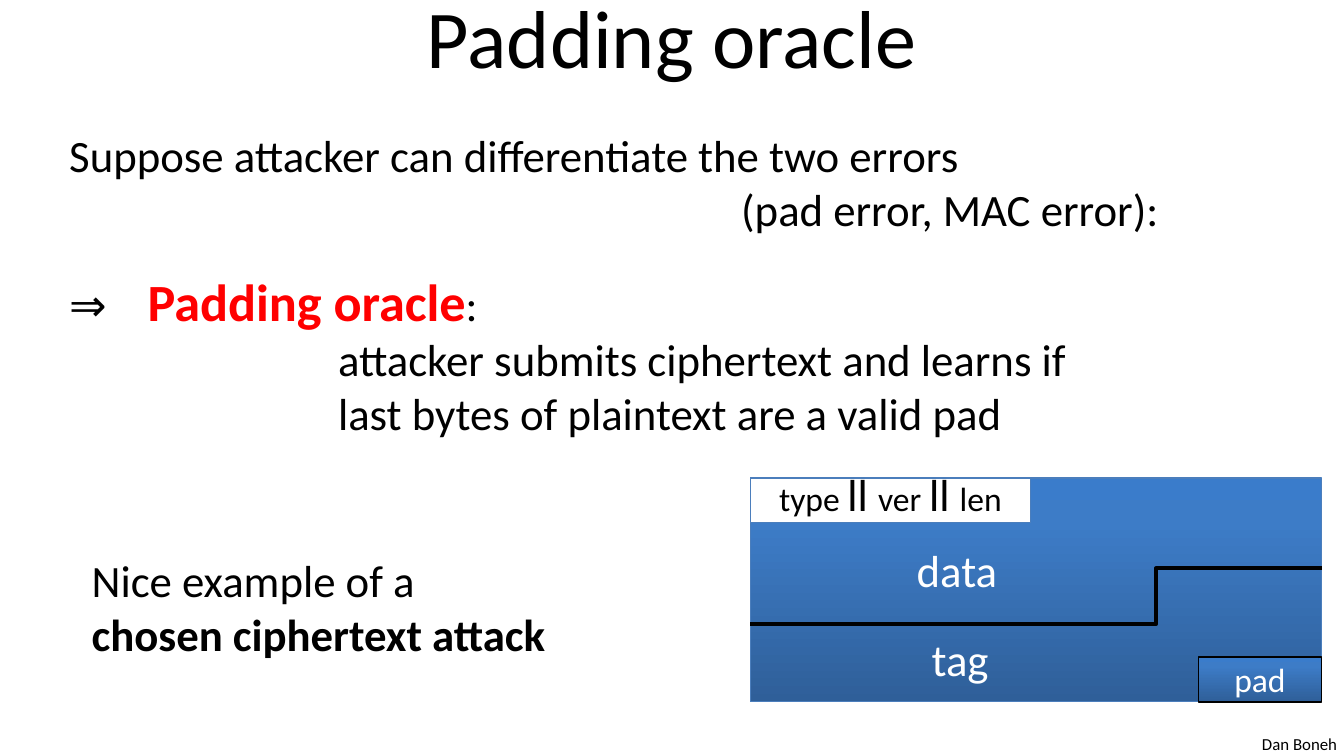
from copy import deepcopy

from lxml import etree
from pptx import Presentation
from pptx.dml.color import RGBColor
from pptx.enum.shapes import MSO_CONNECTOR, MSO_SHAPE
from pptx.enum.text import MSO_ANCHOR, MSO_AUTO_SIZE, PP_ALIGN
from pptx.oxml.ns import qn
from pptx.util import Pt

RECTANGLE = MSO_SHAPE.RECTANGLE
ELBOW = MSO_CONNECTOR.ELBOW
LEFT, CENTER = PP_ALIGN.LEFT, PP_ALIGN.CENTER
MIDDLE = MSO_ANCHOR.MIDDLE
FIT_TEXT = MSO_AUTO_SIZE.SHAPE_TO_FIT_TEXT

FONT = "Calibri"
BLACK, WHITE, RED, BLUE = "000000", "FFFFFF", "FF0000", "4B7EBC"
GRADIENT = [(0, "2F5F99"), (0.8, "3D7CC7"), (1, "3A7CCB")]
RECORD_LEFT, RECORD_TOP, RECORD_WIDTH, RECORD_HEIGHT = 402, 256, 306, 120


def rgb(value):
    """Return the colour for a hex string."""
    return RGBColor.from_string(value)


def add_run(paragraph, text, size=24, color=BLACK, bold=False):
    """Append one formatted run to a paragraph."""
    run = paragraph.add_run()
    run.text = text
    run.font.name = FONT
    run.font.size = Pt(size)
    run.font.bold = bold
    run.font.color.rgb = rgb(color)


def indent(paragraph, left, first=0):
    """Set the left margin and first-line indent of a paragraph."""
    properties = paragraph._p.get_or_add_pPr()
    properties.set("marL", str(Pt(left)))
    properties.set("indent", str(Pt(first)))


def add_text(slide, left, top, width, height, lines, wrap=True):
    """Add a text box with one list of runs per line and return its paragraphs."""
    frame = slide.shapes.add_textbox(Pt(left), Pt(top), Pt(width), Pt(height)).text_frame
    frame.word_wrap = wrap
    frame.auto_size = FIT_TEXT
    for index, runs in enumerate(lines):
        paragraph = frame.add_paragraph() if index else frame.paragraphs[0]
        for run in runs:
            add_run(paragraph, *run)
    return frame.paragraphs


def fill_gradient(shape):
    """Fill a shape with the vertical blue gradient."""
    shape.fill.gradient()
    shape.fill.gradient_angle = 90
    stop_list = shape._element.spPr.find(".//" + qn("a:gsLst"))
    stop_list.insert(1, deepcopy(stop_list[0]))
    for stop, (position, color) in zip(shape.fill.gradient_stops, GRADIENT):
        stop.position = position
        stop.color.rgb = rgb(color)


def add_block(slide, left, top, width, height, line, runs, fill=None, bottom=3.6, align=CENTER):
    """Add a record block, with the gradient unless a fill is given."""
    shape = slide.shapes.add_shape(RECTANGLE, Pt(left), Pt(top), Pt(width), Pt(height))
    shape.shadow.inherit = False
    if fill:
        shape.fill.solid()
        shape.fill.fore_color.rgb = rgb(fill)
    else:
        fill_gradient(shape)
    shape.line.color.rgb = rgb(line)
    shape.line.width = Pt(0.75)
    frame = shape.text_frame
    frame.vertical_anchor = MIDDLE
    frame.margin_bottom = Pt(bottom)
    paragraph = frame.paragraphs[0]
    paragraph.alignment = align
    for run in runs:
        add_run(paragraph, *run)
    return paragraph


def add_divider(slide, start, end, bend):
    """Add a black stepped line that bends at a share of its width."""
    connector = slide.shapes.add_connector(ELBOW, *map(Pt, start + end))
    connector.line.color.rgb = rgb(BLACK)
    connector.line.width = Pt(2)
    properties = connector._element.spPr
    etree.SubElement(properties, qn("a:effectLst"))
    geometry = properties.find(qn("a:prstGeom"))
    adjustments = geometry.find(qn("a:avLst"))
    if adjustments is None:
        adjustments = etree.SubElement(geometry, qn("a:avLst"))
    etree.SubElement(adjustments, qn("a:gd"), name="adj1", fmla=f"val {round(bend * 100000)}")


def add_title(slide, text):
    """Place and format the slide title."""
    title = slide.shapes.title
    title.left, title.top, title.width, title.height = Pt(36), Pt(-15), Pt(648), Pt(68)
    title.text_frame.vertical_anchor = MIDDLE
    paragraph = title.text_frame.paragraphs[0]
    paragraph.alignment = CENTER
    add_run(paragraph, text, 44)


def add_record(slide):
    """Draw the record with its header, data, tag and pad."""
    right, bottom = RECORD_LEFT + RECORD_WIDTH, RECORD_TOP + RECORD_HEIGHT
    data = add_block(slide, RECORD_LEFT, RECORD_TOP, RECORD_WIDTH, RECORD_HEIGHT, BLUE,
                     [("data", 24, WHITE)], bottom=25.6, align=LEFT)
    indent(data, 82)
    header = [("type ", 18), ("ll ", 24), ("ver ", 18), ("ll ", 24), ("len", 18)]
    add_block(slide, RECORD_LEFT, RECORD_TOP, 150, 24, BLUE, header, WHITE, bottom=10.8)
    add_divider(slide, (RECORD_LEFT, 334.5), (right, 304.5), 0.71)
    add_text(slide, 492, 335, 46, 36, [[("tag", 24, WHITE)]], wrap=False)
    add_block(slide, right - 66, bottom - 24, 66, 24, BLACK, [("pad", 18, WHITE)])


def add_argument(slide):
    """Add the main statement and its consequence."""
    paragraphs = add_text(slide, 30, 65, 672, 176, [
        [("Suppose attacker can differentiate the two errors",)],
        [("(pad error, MAC error):",)],
        [("⇒\t",), ("Padding oracle", 28, RED, True), (":",)],
        [("attacker submits ciphertext and learns if",)],
        [("last bytes of plaintext are a valid pad",)],
    ])
    indent(paragraphs[1], 360)
    indent(paragraphs[2], 42, -42)
    paragraphs[2].space_before = Pt(18)
    for paragraph in paragraphs[3:]:
        indent(paragraph, 144)


def main():
    """Build and save the slide."""
    presentation = Presentation()
    presentation.slide_width, presentation.slide_height = Pt(720), Pt(405)
    slide = presentation.slides.add_slide(presentation.slide_layouts[5])
    add_text(slide, 669, 389.5, 55, 18, [[("Dan Boneh", 9)]], wrap=False)
    add_title(slide, "Padding oracle")
    add_record(slide)
    add_argument(slide)
    add_text(slide, 42, 292.5, 261, 65.5, [
        [("Nice example of a",)],
        [("chosen ciphertext attack", 24, BLACK, True)],
    ], wrap=False)
    presentation.save("out.pptx")


if __name__ == "__main__":
    main()
